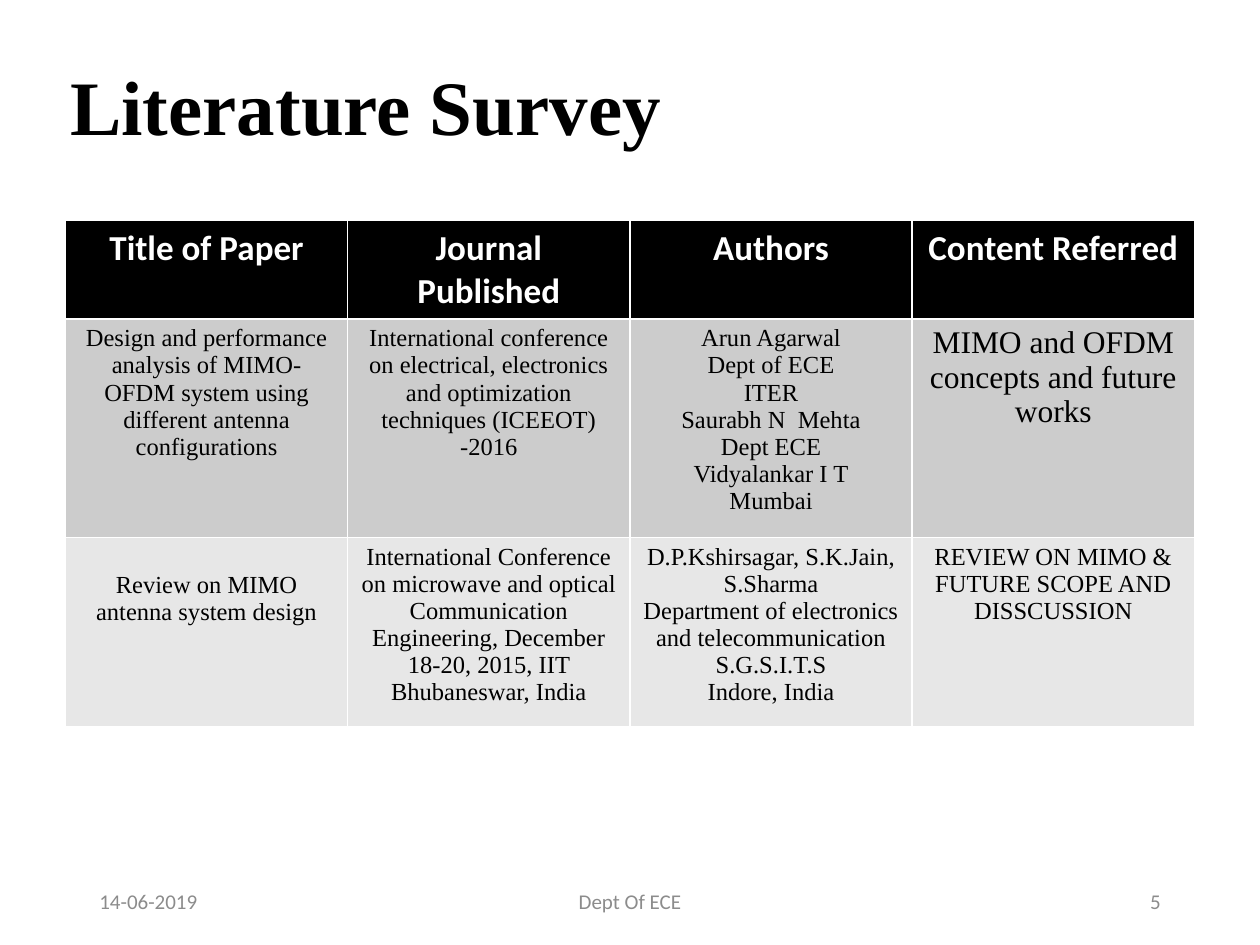
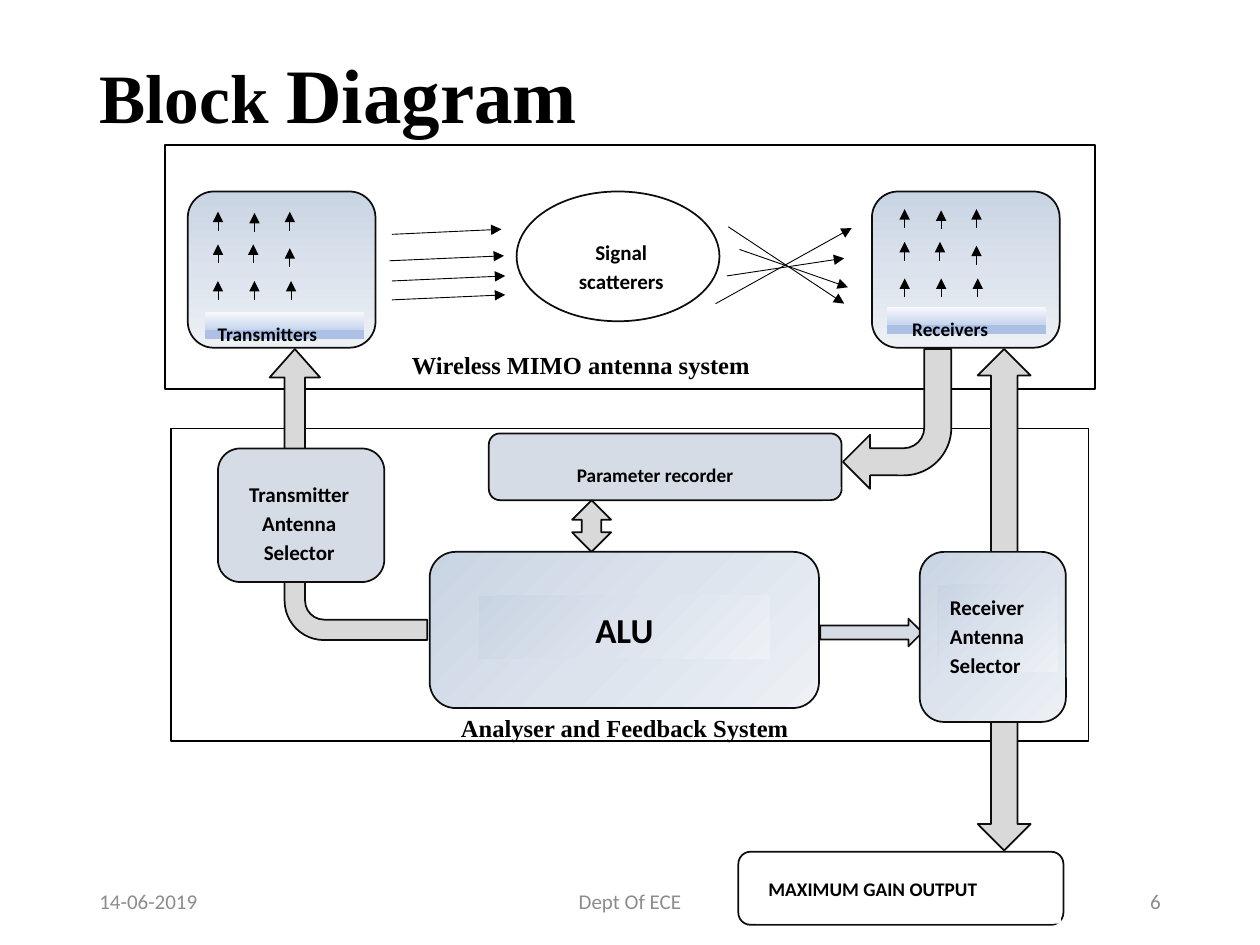
import dataclasses
import lxml.etree
import pptx
import pptx.dml.color
import pptx.enum.shapes
import pptx.enum.text
import pptx.oxml.ns
import pptx.util

Inches = pptx.util.Inches
Kind = pptx.enum.shapes.MSO_SHAPE
Align = pptx.enum.text.PP_ALIGN
Anchor = pptx.enum.text.MSO_ANCHOR
qn = pptx.oxml.ns.qn


@dataclasses.dataclass(frozen=True)
class Theme:
    serif: str = "Times New Roman"
    sans: str = "Calibri"
    black: str = "000000"
    white: str = "FFFFFF"
    edge: str = "0D0D0D"
    muted: str = "8C8C8C"
    steel: str = "D6DCE5"
    gray: str = "D9D9D9"
    bands: tuple = ("000000", "CCCCCC", "E7E7E7")
    mist: tuple = ((0, "C9D4E3"), (50, "DCE3ED"), (100, "EDF1F5"))
    strip: tuple = ((0, "F6F8FC"), (65, "C7D5ED"), (66, "ABC0E4"), (93, "ABC0E4"))
    title: float = 44
    lead: float = 39.6
    head: float = 20
    large: float = 18
    body: float = 14
    label: float = 12
    small: float = 11


theme = Theme()


def write(para, text, size, font=theme.sans, tint=theme.black, bold=True):
    """Add one styled run to a paragraph."""
    run = para.add_run()
    run.text = text
    run.font.size = pptx.util.Pt(size)
    run.font.name = font
    run.font.bold = bold
    run.font.color.rgb = pptx.dml.color.RGBColor.from_string(tint)


def block(slide, kind, box, fill=None, edge=None, angle=270):
    """Add a shape; fill is a colour, a tuple of gradient stops, or None."""
    shape = slide.shapes.add_shape(kind, *map(Inches, box))
    shape.shadow.inherit = False
    if fill is None:
        shape.fill.background()
    elif isinstance(fill, str):
        shape.fill.solid()
        shape.fill.fore_color.rgb = pptx.dml.color.RGBColor.from_string(fill)
    else:
        shape.fill.gradient()
        shape.fill.gradient_angle = angle
        stops = shape._element.spPr.find(qn("a:gradFill")).find(qn("a:gsLst"))
        for old in list(stops):
            stops.remove(old)
        for place, tint in fill:
            stop = lxml.etree.SubElement(stops, qn("a:gs"), pos=str(place * 1000))
            lxml.etree.SubElement(stop, qn("a:srgbClr"), val=tint)
    if edge:
        shape.line.color.rgb = pptx.dml.color.RGBColor.from_string(edge)
        shape.line.width = pptx.util.Pt(1)
    else:
        shape.line.fill.background()
    return shape


deck = pptx.Presentation()
deck.slide_width, deck.slide_height = Inches(10), Inches(7.5)

# Titles and footers
titles = [
    ((0.46, 0.15, 8.62, 1.45), Anchor.MIDDLE, [("Literature Survey", theme.title)]),
    ((0.69, 0.4, 8.62, 1.38), Anchor.TOP,
     [("Block ", theme.lead), ("Diagram", theme.title)]),
]
slides = []
for number, (box, anchor, words) in enumerate(titles, 5):
    slide = deck.slides.add_slide(deck.slide_layouts[6])
    slides.append(slide)
    frame = slide.shapes.add_textbox(*map(Inches, box)).text_frame
    frame.word_wrap = True
    frame.vertical_anchor = anchor
    frame.paragraphs[0].line_spacing = 0.9
    for text, size in words:
        write(frame.paragraphs[0], text, size, theme.serif)
    for left, width, align, text in [
        (0.69, 2.25, Align.LEFT, "14-06-2019"),
        (3.31, 3.38, Align.CENTER, "Dept Of ECE"),
        (7.06, 2.25, Align.RIGHT, str(number)),
    ]:
        box = map(Inches, (left, 6.95, width, 0.4))
        frame = slide.shapes.add_textbox(*box).text_frame
        frame.word_wrap = True
        frame.vertical_anchor = Anchor.MIDDLE
        frame.paragraphs[0].alignment = align
        write(frame.paragraphs[0], text, theme.label, tint=theme.muted, bold=False)

survey, diagram = slides

# Survey table: each cell is a list of paragraphs
papers = [
    [["Title of Paper"], ["Journal Published"], ["Authors"], ["Content Referred"]],
    [
        ["Design and performance analysis of MIMO-OFDM system using "
         "different antenna configurations"],
        ["International conference on electrical, electronics and "
         "optimization techniques (ICEEOT)", "-2016"],
        ["Arun Agarwal", "Dept of ECE", "ITER", "Saurabh N  Mehta", "Dept ECE",
         "Vidyalankar I T", "Mumbai"],
        ["MIMO and OFDM concepts and future works"],
    ],
    [
        ["Review on MIMO antenna system design"],
        ["International Conference on microwave and optical Communication "
         "Engineering, December 18-20, 2015, IIT Bhubaneswar, India"],
        ["D.P.Kshirsagar, S.K.Jain, S.Sharma",
         "Department of electronics and telecommunication",
         "S.G.S.I.T.S", "Indore, India"],
        ["REVIEW ON MIMO & FUTURE SCOPE AND DISSCUSSION"],
    ],
]
heights = [0.78, 1.6, 1.38]
box = map(Inches, (0.52, 1.75, 8.96, sum(heights)))
table = survey.shapes.add_table(3, 4, *box).table
for col in table.columns:
    col.width = Inches(2.24)
for r, (height, band, row) in enumerate(zip(heights, theme.bands, papers)):
    table.rows[r].height = Inches(height)
    for c, lines in enumerate(row):
        cell = table.cell(r, c)
        cell.fill.solid()
        cell.fill.fore_color.rgb = pptx.dml.color.RGBColor.from_string(band)
        for i, text in enumerate(lines):
            frame = cell.text_frame
            para = frame.add_paragraph() if i else frame.paragraphs[0]
            para.alignment = Align.CENTER
            if r == 0:
                write(para, text, theme.head, tint=theme.white)
            else:
                size = theme.large if (r, c) == (1, 3) else theme.body
                write(para, text, size, theme.serif, bold=False)
table.cell(2, 0).margin_top = Inches(0.27)

# Panels, recorder and scatterers
block(diagram, Kind.ROUNDED_RECTANGLE, (3.88, 3.44, 2.8, 0.53), theme.steel, theme.edge)
block(diagram, Kind.RECTANGLE, (1.36, 3.4, 7.28, 2.48), edge=theme.black)
block(diagram, Kind.OVAL, (4.1, 1.52, 1.61, 1.03), edge=theme.edge)
block(diagram, Kind.RECTANGLE, (1.31, 1.15, 7.38, 1.94), edge=theme.black)

# Antenna units
for left in (1.49, 6.92):
    block(diagram, Kind.ROUNDED_RECTANGLE, (left, 1.52, 1.49, 1.24),
          theme.mist, theme.edge)

# Signal rays and antenna arrows
rays = [(3.11, 1.86, 3.98, 1.82), (3.09, 2.07, 4, 2.03),
        (3.11, 2.23, 4.01, 2.19), (3.11, 2.38, 4.01, 2.34),
        (5.78, 1.8, 6.7, 2.41), (5.77, 2.19, 6.7, 2.05),
        (5.87, 1.98, 6.73, 2.28), (5.68, 2.41, 6.76, 1.81)]
feet = [(0.24, 0.31), (0.53, 0.32), (0.81, 0.31),
        (0.24, 0.57), (0.52, 0.57), (0.81, 0.6),
        (0.24, 0.86), (0.53, 0.86), (0.82, 0.86)]
for left, top in [(1.49, 1.52), (6.94, 1.5)]:
    rays += [(left + x, top + y, left + x, top + y - 0.15) for x, y in feet]
for ray in rays:
    line = diagram.shapes.add_connector(
        pptx.enum.shapes.MSO_CONNECTOR.STRAIGHT, *map(Inches, ray))
    line.line.color.rgb = pptx.dml.color.RGBColor.from_string(theme.black)
    line.line.width = pptx.util.Pt(0.5)
    lxml.etree.SubElement(line.line._get_or_add_ln(), qn("a:tailEnd"), type="triangle")
    lxml.etree.SubElement(line._element.spPr, qn("a:effectLst"))

# Output box and block arrows
block(diagram, Kind.ROUNDED_RECTANGLE, (5.86, 6.76, 2.58, 0.58), edge=theme.edge)
for kind, box, fill, turn, bends in [
    (Kind.UP_DOWN_ARROW, (7.76, 2.77, 0.42, 3.98), theme.gray, 0, ()),
    (Kind.BENT_ARROW, (6.69, 2.77, 0.86, 1.11), theme.gray, 180,
     (0.25, 0.25, 0.25, 0.44)),
    (Kind.RIGHT_ARROW, (6.51, 4.91, 0.81, 0.22), theme.steel, 0, ()),
    (Kind.UP_DOWN_ARROW, (4.54, 3.97, 0.31, 0.41), theme.gray, 0, ()),
    (Kind.BENT_ARROW, (1.61, 3.3, 2.31, 1.25), theme.gray, 270,
     (0.13, 0.16, 0.18, 0.25)),
]:
    arrow = block(diagram, kind, box, fill, theme.edge)
    arrow.rotation = turn
    for i, bend in enumerate(bends):
        arrow.adjustments[i] = bend

# Processing units
for box, fill in [
    ((3.41, 4.38, 3.09, 1.24), theme.mist),
    ((7.3, 4.38, 1.16, 1.35), theme.mist),
    ((1.73, 3.56, 1.32, 1.06), theme.steel),
]:
    block(diagram, Kind.ROUNDED_RECTANGLE, box, fill, theme.edge, 315)

# Labels
for text, box, fill, size, align, angle, inset in [
    ("Parameter recorder", (4.48, 3.6, 1.71, 0.26), theme.steel,
     theme.small, Align.LEFT, 0, 0.1),
    ("Signal scatterers", (4.32, 1.82, 1.22, 0.51), theme.white,
     theme.label, Align.CENTER, 0, 0.1),
    ("Transmitters", (1.63, 2.48, 1.26, 0.21), theme.strip,
     theme.small, Align.LEFT, 270, 0.1),
    ("Receivers", (7.04, 2.44, 1.26, 0.21), theme.strip,
     theme.small, Align.LEFT, 270, 0.2),
    ("MAXIMUM GAIN OUTPUT", (6, 6.89, 2.42, 0.44), theme.white,
     theme.small, Align.LEFT, 0, 0.1),
    ("ALU", (3.8, 4.73, 2.31, 0.5), theme.mist,
     theme.head, Align.CENTER, 315, 0.1),
    ("Receiver Antenna Selector", (7.44, 4.64, 0.96, 0.69), theme.mist,
     theme.label, Align.LEFT, 315, 0.1),
    ("Transmitter Antenna Selector", (1.76, 3.74, 1.23, 0.79), theme.steel,
     theme.label, Align.CENTER, 0, 0.1),
]:
    frame = block(diagram, Kind.RECTANGLE, box, fill, angle=angle).text_frame
    frame.word_wrap = True
    frame.vertical_anchor = Anchor.TOP
    frame.margin_left = Inches(inset)
    para = frame.paragraphs[0]
    para.alignment = align
    para.line_spacing = 1.15
    write(para, text, size)

# Panel captions
for text, box in [
    ("Wireless MIMO antenna system", (3.17, 2.73, 3.7, 0.35)),
    ("Analyser and Feedback System", (3.56, 5.61, 2.94, 0.34)),
]:
    frame = diagram.shapes.add_textbox(*map(Inches, box)).text_frame
    frame.word_wrap = True
    write(frame.paragraphs[0], text, theme.body, theme.serif)

deck.save("out.pptx")
